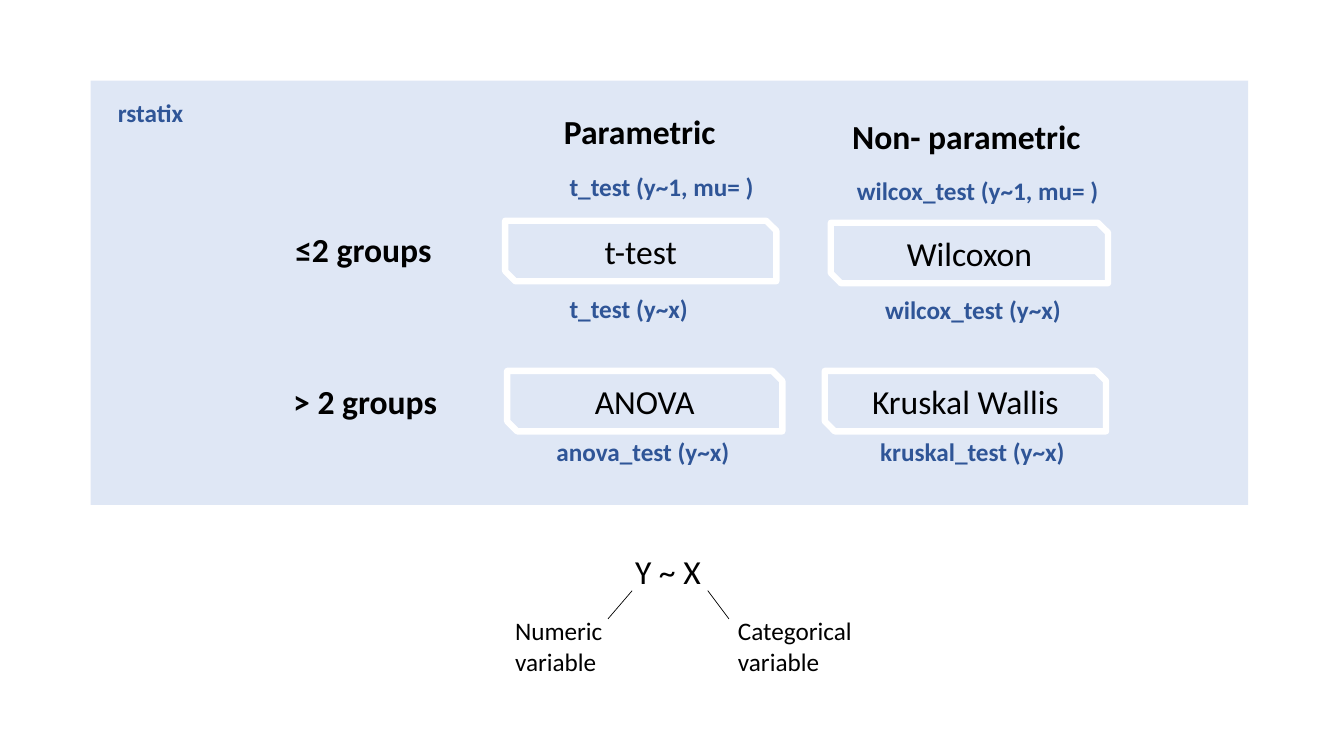
import pptx
import pptx.util
import pptx.dml.color
import pptx.enum.shapes
import pptx.enum.text
import pptx.oxml.ns
from lxml import etree

Inches = pptx.util.Inches
Pt = pptx.util.Pt
RGBColor = pptx.dml.color.RGBColor
SHAPES = pptx.enum.shapes.MSO_SHAPE
ALIGN = pptx.enum.text.PP_ALIGN

BLACK = RGBColor(0x00, 0x00, 0x00)
WHITE = RGBColor(0xFF, 0xFF, 0xFF)
PANEL_BLUE = RGBColor(0x44, 0x72, 0xC4)
CODE_BLUE = RGBColor(0x2F, 0x55, 0x97)

HEADING = {"name": "Calibri", "size": Pt(24), "bold": True}
TEST = {"name": "Calibri", "size": Pt(24), "bold": False}
CODE = {"name": "Calibri", "size": Pt(18), "bold": True}
NOTE = {"name": "Calibri", "size": Pt(18), "bold": False}

PANEL_BOX = (0.9, 0.8, 11.48, 4.21)
FORMULA_BOX = (5.01, 5.42, 3.96, 1.35)
CELL_HEIGHT = 0.6

# Text, left, top and width, measured from the panel's corner
ROW_HEADINGS = [("≤2 groups", 1.88, 1.37, 2.25), ("> 2 groups", 1.86, 2.88, 2.25)]
COLUMN_HEADINGS = [("Parametric", 4.08, 0.2, 2.73), ("Non- parametric", 7.32, 0.25, 2.73)]
TESTS = [
    ("t-test", 4.11, 1.39, 2.69),
    ("Wilcoxon", 7.34, 1.41, 2.75),
    ("ANOVA", 4.13, 2.88, 2.73),
    ("Kruskal Wallis", 7.28, 2.88, 2.79),
]
CALLS = [
    ("rstatix", 0.17, 0.12, 2.09),
    ("t_test (y~1, mu= )", 4.65, 0.85, 2.09),
    ("wilcox_test (y~1, mu= )", 7.5, 0.89, 2.75),
    ("t_test (y~x)", 4.65, 2.06, 2.09),
    ("wilcox_test (y~x)", 7.78, 2.07, 2.09),
    ("anova_test (y~x)", 4.52, 3.48, 2.08),
    ("kruskal_test (y~x)", 7.73, 3.48, 2.09),
]


def write(holder, lines, style, color, align=ALIGN.LEFT):
    frame = holder.text_frame
    frame.word_wrap = True
    frame.auto_size = pptx.enum.text.MSO_AUTO_SIZE.SHAPE_TO_FIT_TEXT
    frame.text = lines
    for paragraph in frame.paragraphs:
        paragraph.alignment = align
        for attribute, value in style.items():
            setattr(paragraph.font, attribute, value)
        paragraph.font.color.rgb = color


def add_label(slide, lines, left, top, width, height, style, color):
    label = slide.shapes.add_textbox(*map(Inches, (left, top, width, height)))
    write(label, lines, style, color)


def add_cell(slide, words, left, top, width, style, align, outlined):
    cell = slide.shapes.add_shape(
        SHAPES.SNIP_2_DIAG_RECTANGLE, *map(Inches, (left, top, width, CELL_HEIGHT)))
    cell.shadow.inherit = False
    cell.fill.background()
    if outlined:
        cell.line.color.rgb = WHITE
        cell.line.width = Pt(4.5)
    else:
        cell.line.fill.background()
    write(cell, words, style, BLACK, align)


def add_test_panel(slide, box):
    left, top = box[:2]

    # Translucent background
    panel = slide.shapes.add_shape(SHAPES.RECTANGLE, *map(Inches, box))
    panel.shadow.inherit = False
    panel.fill.solid()
    panel.fill.fore_color.rgb = PANEL_BLUE
    panel.line.fill.background()
    tint = panel.fill._xPr.find(".//" + pptx.oxml.ns.qn("a:srgbClr"))
    etree.SubElement(tint, pptx.oxml.ns.qn("a:alpha"), val="17000")

    # Headings and the grid of tests
    for cells, style, align, outlined in (
        (ROW_HEADINGS, HEADING, ALIGN.LEFT, False),
        (COLUMN_HEADINGS, HEADING, ALIGN.CENTER, False),
        (TESTS, TEST, ALIGN.CENTER, True),
    ):
        for words, x, y, width in cells:
            add_cell(slide, words, left + x, top + y, width, style, align, outlined)

    # Package name and function calls
    for words, x, y, width in CALLS:
        add_label(slide, words, left + x, top + y, width, 0.4, CODE, CODE_BLUE)


def add_formula(slide, box):
    left, top, width, height = box
    note_width, note_height = 1.75, 0.71
    note_top = top + height - note_height

    # Formula and the meaning of its two sides
    add_label(slide, "Y ~ X", left + 1.19, top, 3, 0.5, TEST, BLACK)
    for words, note_left in (
        ("Numeric variable", left),
        ("Categorical\nvariable", left + width - note_width),
    ):
        add_label(slide, words, note_left, note_top, note_width, note_height, NOTE, BLACK)

    # Lines from the formula to its notes
    for start, end in ((1.26, 1.02), (2.01, 2.22)):
        pointer = slide.shapes.add_connector(
            pptx.enum.shapes.MSO_CONNECTOR.STRAIGHT,
            *map(Inches, (left + start, top + 0.44, left + end, top + 0.72)))
        pointer.line.color.rgb = BLACK
        pointer.line.width = Pt(0.5)
        etree.SubElement(pointer._element.spPr, pptx.oxml.ns.qn("a:effectLst"))


def main():
    deck = pptx.Presentation()
    deck.slide_width = Inches(13.33)
    deck.slide_height = Inches(7.5)
    slide = deck.slides.add_slide(deck.slide_layouts[6])
    add_test_panel(slide, PANEL_BOX)
    add_formula(slide, FORMULA_BOX)
    deck.save("out.pptx")


if __name__ == "__main__":
    main()
